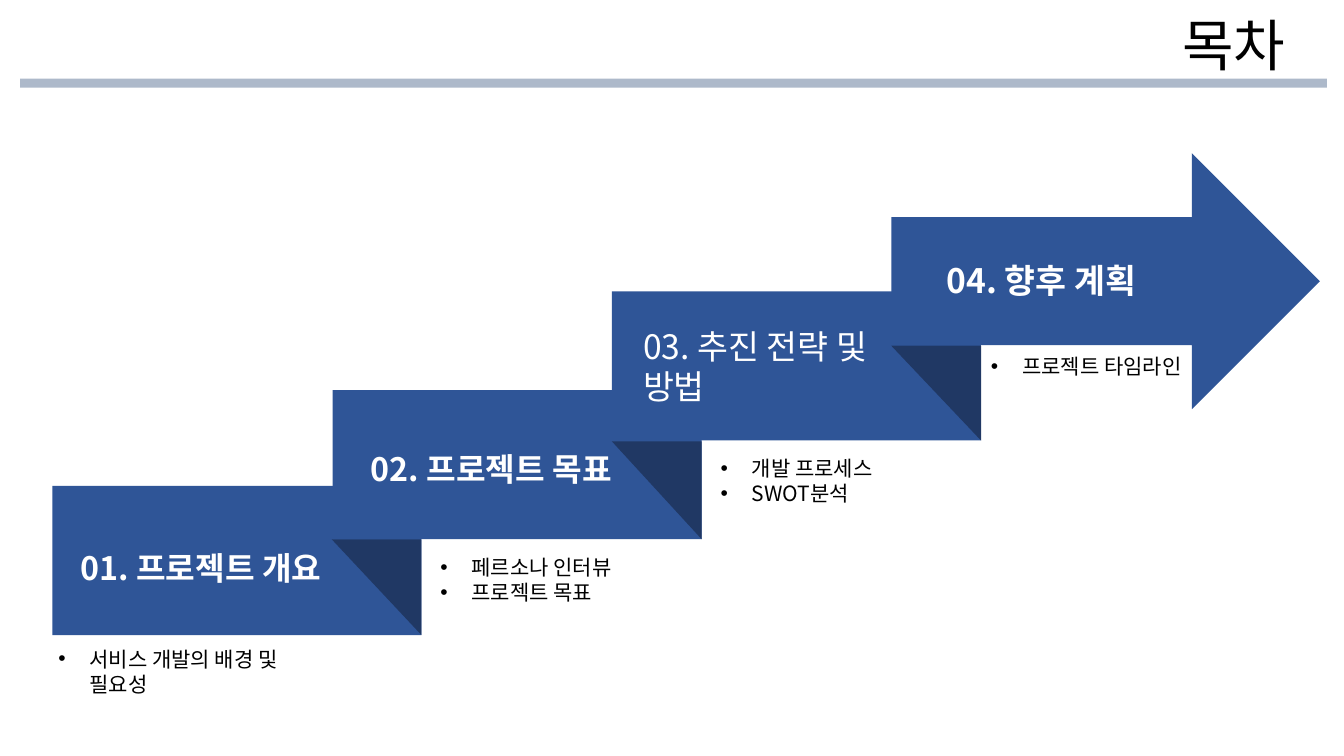
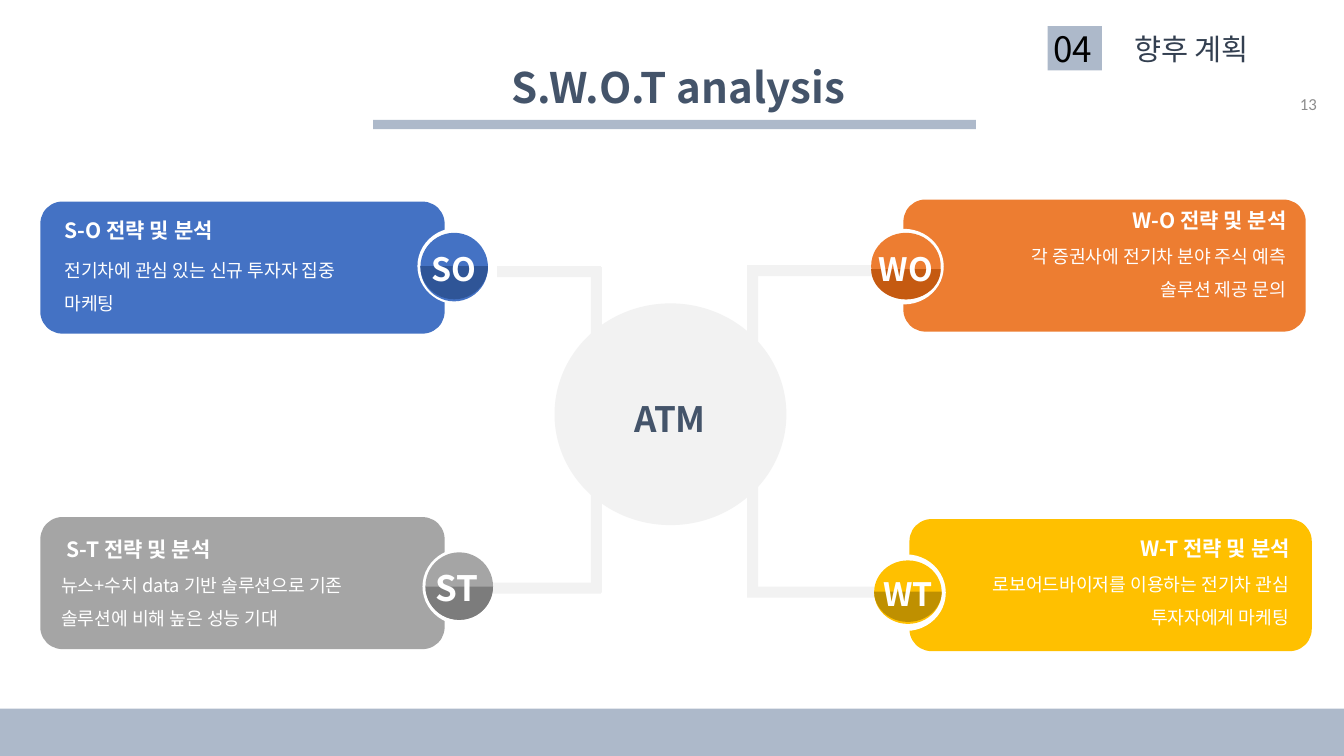
"""Build the contents slide and the S.W.O.T analysis slide."""
from collections import namedtuple

from lxml.etree import SubElement
from pptx import Presentation
from pptx.dml.color import RGBColor
from pptx.enum.shapes import MSO_SHAPE as Shape
from pptx.enum.text import MSO_ANCHOR as Anchor
from pptx.enum.text import MSO_AUTO_SIZE as AutoSize
from pptx.enum.text import PP_ALIGN as Align
from pptx.oxml.ns import qn
from pptx.util import Inches, Pt

BLACK = RGBColor(0x00, 0x00, 0x00)
WHITE = RGBColor(0xFF, 0xFF, 0xFF)
ACCENT = RGBColor(0xAD, 0xB9, 0xCA)
STEP = RGBColor(0x2F, 0x55, 0x97)
FOLD = RGBColor(0x20, 0x38, 0x64)
SLATE = RGBColor(0x44, 0x54, 0x6A)
SECTION = RGBColor(0x33, 0x3F, 0x50)
PAGE_GRAY = RGBColor(0x8C, 0x8C, 0x8C)
PIPE = RGBColor(0xF2, 0xF2, 0xF2)
BLUE = RGBColor(0x44, 0x72, 0xC4)
ORANGE = RGBColor(0xED, 0x7D, 0x31)
DARK_ORANGE = RGBColor(0xC5, 0x5A, 0x11)
GRAY = RGBColor(0xA5, 0xA5, 0xA5)
DARK_GRAY = RGBColor(0x7C, 0x7C, 0x7C)
GOLD = RGBColor(0xFF, 0xC0, 0x00)
DARK_GOLD = RGBColor(0xBF, 0x90, 0x00)

FONT = "Noto Sans CJK KR"
WIDTH, HEIGHT = 13.33, 7.5
STEP_WIDTH, STEP_HEIGHT = 3.66, 1.48
FOLD_WIDTH = 0.89
CARD_HEIGHT = 1.31
PIPE_SIZE = 0.11

Step = namedtuple("Step", "left top fold_height label label_box size bold")
Strategy = namedtuple(
    "Strategy",
    "color shade card ring disc half pipe code code_box code_size "
    "heading heading_box lines body_box align",
)

STEPS = [
    Step(0.52, 4.82, 0.95, "01. 프로젝트 개요", (0.7, 5.39, 2.76, 0.49), 23, True),
    Step(3.3, 3.87, 0.97, "02. 프로젝트 목표", (3.58, 4.41, 3.06, 0.49), 23, True),
    Step(6.07, 2.89, 0.94, "03. 추진 전략 및 방법", (6.28, 3.18, 2.58, 0.91), 24, False),
]

TOPICS = [
    (0.48, 6.36, 0.61, ["서비스 개발의 배경 및 필요성"]),
    (4.27, 5.45, 0.61, ["페르소나 인터뷰", "프로젝트 목표"]),
    (7.05, 4.47, 0.61, ["개발 프로세스", "SWOT분석"]),
    (9.73, 3.46, 0.35, ["프로젝트 타임라인"]),
]

STRATEGIES = [
    Strategy(
        BLUE, STEP, (0.4, 2, 4.01), (4.14, 2.26, 0.79, 0.76),
        (4.17, 2.31, 0.67, 0.68), (2.64, 0.33), (4.93, 2.64, 5.96),
        "SO", (3.65, 2.42, 1.71, 0.49), 23,
        "S-O 전략 및 분석", (0.54, 2.11, 1.79, 0.35),
        ["전기차에 관심 있는 신규 투자자 집중", "마케팅"],
        (0.54, 2.42, 3.26, 0.73), Align.LEFT,
    ),
    Strategy(
        ORANGE, DARK_ORANGE, (8.96, 1.98, 3.99), (8.57, 2.27, 0.79, 0.75),
        (8.64, 2.31, 0.69, 0.66), (2.67, 0.3), (7.41, 2.63, 9.04),
        "WO", (8.13, 2.42, 1.71, 0.49), 23,
        "W-O 전략 및 분석", (11.03, 2.01, 1.83, 0.35),
        ["각 증권사에 전기차 분야 주식 예측", "솔루션 제공 문의"],
        (7.67, 2.28, 5.18, 0.73), Align.RIGHT,
    ),
    Strategy(
        GRAY, DARK_GRAY, (0.4, 5.13, 4.01), (4.19, 5.44, 0.79, 0.76),
        (4.22, 5.48, 0.67, 0.67), (5.82, 0.33), (4.33, 5.78, 5.96),
        "ST", (3.68, 5.57, 1.71, 0.52), 25,
        "S-T 전략 및 분석", (0.56, 5.27, 1.75, 0.35),
        ["뉴스+수치 data 기반 솔루션으로 기존 솔루션에 비해 높은 성능 기대"],
        (0.51, 5.54, 3.5, 0.73), Align.LEFT,
    ),
    Strategy(
        GOLD, DARK_GOLD, (9.02, 5.15, 3.99), (8.59, 5.5, 0.79, 0.76),
        (8.67, 5.56, 0.67, 0.63), (5.87, 0.3), (7.41, 5.82, 9.06),
        "WT", (8.62, 5.65, 0.77, 0.49), 23,
        "W-T 전략 및 분석", (11.04, 5.26, 1.85, 0.35),
        ["로보어드바이저를 이용하는 전기차 관심 투자자에게 마케팅"],
        (9.71, 5.53, 3.17, 0.73), Align.RIGHT,
    ),
]


def add_block(slide, box, color, kind=Shape.RECTANGLE):
    """Add a flat filled shape without outline or shadow."""
    block = slide.shapes.add_shape(kind, *map(Inches, box))
    block.shadow.inherit = False
    block.fill.solid()
    block.fill.fore_color.rgb = color
    block.line.fill.background()
    return block


def add_bullet(paragraph):
    """Give a paragraph a hanging round bullet."""
    props = paragraph._p.get_or_add_pPr()
    props.set("marL", str(Inches(0.31)))
    props.set("indent", str(-Inches(0.31)))
    SubElement(props, qn("a:buFont")).set("typeface", "Arial")
    SubElement(props, qn("a:buChar")).set("char", "•")


def add_text(slide, box, lines, size, color, bold=False, font=FONT, align=Align.LEFT,
             spacing=None, bulleted=False, wrap=True, anchor=Anchor.TOP):
    """Add a text box with one paragraph for each line."""
    frame = slide.shapes.add_textbox(*map(Inches, box)).text_frame
    frame_format = {"word_wrap": wrap, "vertical_anchor": anchor,
                    "auto_size": AutoSize.SHAPE_TO_FIT_TEXT}
    if anchor != Anchor.TOP:
        frame_format["auto_size"] = AutoSize.NONE
    paragraph_format = {"alignment": align, "line_spacing": spacing}
    font_format = {"name": font, "size": Pt(size), "bold": bold}
    set_format(frame, frame_format)
    for index, line in enumerate(lines):
        paragraph = frame.add_paragraph() if index else frame.paragraphs[0]
        set_format(paragraph, paragraph_format)
        if bulleted:
            add_bullet(paragraph)
        run = paragraph.add_run()
        run.text = line
        set_format(run.font, font_format)
        run.font.color.rgb = color
        SubElement(run._r.get_or_add_rPr(), qn("a:ea")).set("typeface", font)


def set_format(target, values):
    """Set every named attribute on the target."""
    for name, value in values.items():
        setattr(target, name, value)


def add_step(slide, step):
    """Add one stair with the fold that the next stair casts on it."""
    add_block(slide, (step.left, step.top, STEP_WIDTH, STEP_HEIGHT), STEP)
    right, bottom = step.left + STEP_WIDTH, step.top + STEP_HEIGHT
    fold_box = (right - FOLD_WIDTH, bottom - step.fold_height, FOLD_WIDTH, step.fold_height)
    add_block(slide, fold_box, FOLD, Shape.RIGHT_TRIANGLE).rotation = 180


def add_badge(slide, strategy):
    """Add the two-tone disc with the strategy code."""
    add_block(slide, strategy.disc, strategy.color, Shape.OVAL)
    left, _, width, _ = strategy.disc
    middle, depth = strategy.half
    shade = add_block(slide, (left, middle - depth, width, 2 * depth),
                      strategy.shade, Shape.CHORD)
    shade.adjustments[0] = 0
    shade.adjustments[1] = 108
    add_text(slide, strategy.code_box, [strategy.code], strategy.code_size, WHITE,
             bold=True, align=Align.CENTER)


def add_strategy(slide, strategy):
    """Add a strategy card, its pipe to the hub and its badge."""
    add_block(slide, (*strategy.card, CARD_HEIGHT), strategy.color, Shape.ROUNDED_RECTANGLE)
    add_block(slide, strategy.ring, WHITE, Shape.OVAL)
    start, top, end = strategy.pipe
    add_block(slide, (start, top, end - start, PIPE_SIZE), PIPE)
    add_badge(slide, strategy)
    add_text(slide, strategy.heading_box, [strategy.heading], 15, WHITE, bold=True,
             align=strategy.align, wrap=False)
    add_text(slide, strategy.body_box, strategy.lines, 13, WHITE,
             align=strategy.align, spacing=1.5)


def build_contents(slide):
    """Build the staircase of chapters."""
    add_text(slide, (11.63, 0.06, 1.65, 0.77), ["목차"], 40, BLACK, font="Arial")
    add_block(slide, (0.2, 0.78, 12.96, 0.09), ACCENT)
    for step in STEPS:
        add_step(slide, step)
    add_block(slide, (8.84, 1.52, 4.25, 2.54), STEP, Shape.RIGHT_ARROW)
    for step in STEPS:
        add_text(slide, step.label_box, [step.label], step.size, WHITE, bold=step.bold)
    add_text(slide, (9.29, 2.53, 3.14, 0.52), ["04. 향후 계획"], 24, WHITE, bold=True)
    for left, top, height, lines in TOPICS:
        add_text(slide, (left, top, 2.98, height), lines, 15, BLACK, bulleted=True)


def build_swot(slide):
    """Build the four strategies around the hub."""
    add_block(slide, (10.39, 0.26, 0.54, 0.44), ACCENT)
    add_text(slide, (10.35, 0.22, 0.72, 0.52), ["04"], 25, BLACK)
    add_text(slide, (11.15, 0.26, 2.1, 0.45), ["향후 계획"], 21, SECTION)
    add_text(slide, (10.16, 0.83, 3, 0.4), ["13"], 12, PAGE_GRAY, font="Calibri",
             align=Align.RIGHT, anchor=Anchor.MIDDLE)
    add_text(slide, (1.26, 0.56, 10.93, 0.61), ["S.W.O.T analysis"], 30, SLATE,
             bold=True, align=Align.CENTER)
    add_block(slide, (3.7, 1.19, 5.98, 0.09), ACCENT)
    for left, top in ((5.86, 2.65), (7.41, 2.69)):
        add_block(slide, (left, top, PIPE_SIZE, 3.23), PIPE)
    add_block(slide, (5.5, 3.01, 2.3, 2.2), PIPE, Shape.OVAL)
    add_text(slide, (5.15, 3.89, 2.99, 0.52), ["ATM"], 25, SLATE, bold=True,
             align=Align.CENTER)
    for strategy in STRATEGIES:
        add_strategy(slide, strategy)
    add_block(slide, (0, 7.03, WIDTH, HEIGHT - 7.03), ACCENT)


def main():
    """Create and save the presentation."""
    deck = Presentation()
    deck.slide_width, deck.slide_height = Inches(WIDTH), Inches(HEIGHT)
    for build in (build_contents, build_swot):
        build(deck.slides.add_slide(deck.slide_layouts[6]))
    deck.save("out.pptx")


if __name__ == "__main__":
    main()
